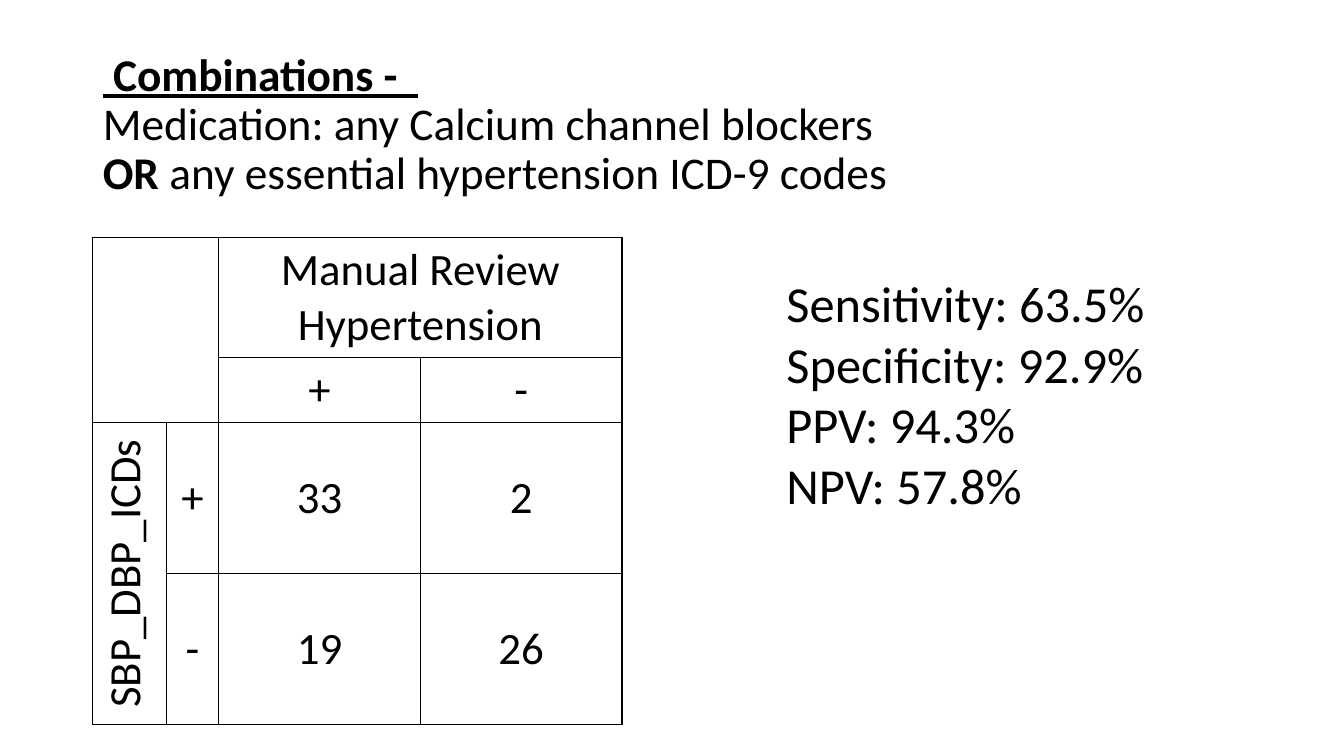
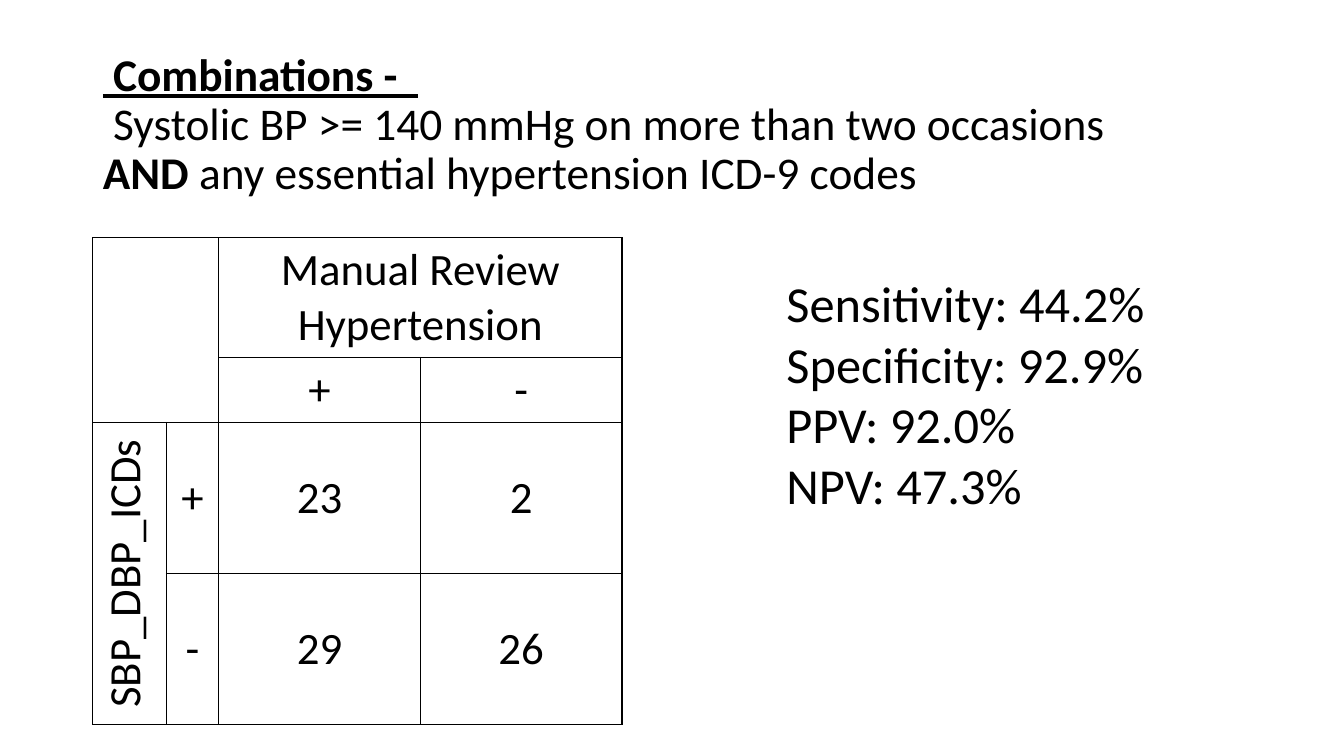
from dataclasses import dataclass

from lxml import etree
from pptx import Presentation
from pptx import util as u
from pptx.dml.color import RGBColor
from pptx.enum import text
from pptx.oxml import ns


@dataclass(frozen=True)
class Theme:
    font: str = "Calibri"
    ink: RGBColor = RGBColor(0, 0, 0)
    title_size: float = 32.4
    table_size: float = 32
    stats_size: float = 36
    border_width: float = 1


@dataclass(frozen=True)
class Box:
    left: float
    top: float
    width: float
    height: float

    def place(self, sp) -> None:
        sp.left, sp.top = u.Inches(self.left), u.Inches(self.top)
        sp.width, sp.height = u.Inches(self.width), u.Inches(self.height)


@dataclass(frozen=True)
class Combination:
    """A pair of criteria, its 2 x 2 counts and its accuracy figures."""
    first: str
    operator: str
    counts: tuple[tuple[int, int], tuple[int, int]]
    sensitivity: str
    specificity: str
    ppv: str
    npv: str


THEME = Theme()
TITLE_BOX = Box(0.92, 0.52, 12.12, 1.45)
STATS_BOX = Box(7.7, 2.65, 3.92, 2.52)
TABLE_LEFT, TABLE_TOP = 0.92, 2.36
COLUMN_WIDTHS = (0.73, 0.52, 2, 2)
ROW_HEIGHTS = (1.18, 0.64, 1.5, 1.5)
SIGNS = ("+", "-")

COMBINATIONS = (
    Combination("Medication: any Calcium channel blockers", "OR",
                ((33, 2), (19, 26)), "63.5%", "92.9%", "94.3%", "57.8%"),
    Combination(" Systolic BP >= 140 mmHg on more than two occasions", "AND",
                ((23, 2), (29, 26)), "44.2%", "92.9%", "92.0%", "47.3%"),
)


def style_run(r, size: float, bold: bool = False, underline: bool = False) -> None:
    r.font.name = THEME.font
    r.font.size = u.Pt(size)
    r.font.color.rgb = THEME.ink
    r.font.bold = bold
    r.font.underline = underline


def add_title(s, combination: Combination) -> None:
    sp = s.shapes.title
    TITLE_BOX.place(sp)
    tf = sp.text_frame
    tf.auto_size = text.MSO_AUTO_SIZE.NONE
    tf.vertical_anchor = text.MSO_ANCHOR.MIDDLE
    p = tf.paragraphs[0]
    p.alignment = text.PP_ALIGN.LEFT
    p.line_spacing = 0.9
    lines = (
        ((" Combinations -  ", True, True),),
        ((combination.first, False, False),),
        ((combination.operator, True, False),
         (" any essential hypertension ICD-9 codes", False, False)),
    )
    for i, line in enumerate(lines):
        if i:
            p.add_line_break()
        for words, bold, underline in line:
            r = p.add_run()
            r.text = words
            style_run(r, THEME.title_size, bold, underline)


def add_stats(s, combination: Combination) -> None:
    sp = s.placeholders[1]
    STATS_BOX.place(sp)
    tf = sp.text_frame
    tf.text = "\n".join((
        f"Sensitivity: {combination.sensitivity}",
        f"Specificity: {combination.specificity}",
        f"PPV: {combination.ppv}",
        f"NPV: {combination.npv}",
    ))
    tf.auto_size = text.MSO_AUTO_SIZE.NONE
    tf.word_wrap = False
    tf.vertical_anchor = text.MSO_ANCHOR.TOP
    for p in tf.paragraphs:
        p_pr = p._p.get_or_add_pPr()
        p_pr.set("marL", "0")
        p_pr.set("indent", "0")
        etree.SubElement(p_pr, ns.qn("a:buNone"))
        p.space_before = u.Pt(0)
        style_run(p.runs[0], THEME.stats_size)


def draw_borders(cell) -> None:
    tc_pr = cell._tc.get_or_add_tcPr()
    for side in ("lnL", "lnR", "lnT", "lnB"):
        ln = etree.SubElement(tc_pr, ns.qn(f"a:{side}"),
                              w=str(u.Pt(THEME.border_width)))
        fill = etree.SubElement(ln, ns.qn("a:solidFill"))
        etree.SubElement(fill, ns.qn("a:srgbClr"), val=str(THEME.ink))


def fill_cell(cell, words: str) -> None:
    cell.text_frame.text = words
    cell.vertical_anchor = text.MSO_ANCHOR.MIDDLE
    p = cell.text_frame.paragraphs[0]
    p.alignment = text.PP_ALIGN.CENTER
    style_run(p.runs[0], THEME.table_size)


def add_table(s, combination: Combination) -> None:
    table = s.shapes.add_table(
        len(ROW_HEIGHTS), len(COLUMN_WIDTHS),
        u.Inches(TABLE_LEFT), u.Inches(TABLE_TOP),
        u.Inches(sum(COLUMN_WIDTHS)), u.Inches(sum(ROW_HEIGHTS))).table
    table.first_row = table.horz_banding = False
    for column, width in zip(table.columns, COLUMN_WIDTHS):
        column.width = u.Inches(width)
    for row, height in zip(table.rows, ROW_HEIGHTS):
        row.height = u.Inches(height)
    for cell in table.iter_cells():
        draw_borders(cell)
        cell.fill.background()

    table.cell(0, 0).merge(table.cell(1, 1))
    review, method = table.cell(0, 2), table.cell(2, 0)
    review.merge(table.cell(0, 3))
    method.merge(table.cell(3, 0))
    fill_cell(review, "Manual Review Hypertension")
    review.vertical_anchor = text.MSO_ANCHOR.TOP
    fill_cell(method, "SBP_DBP_ICDs")
    method._tc.get_or_add_tcPr().set("vert", "vert270")
    for i, sign in enumerate(SIGNS, start=2):
        fill_cell(table.cell(1, i), sign)
        fill_cell(table.cell(i, 1), sign)
    for i, counts in enumerate(combination.counts, start=2):
        for j, count in enumerate(counts, start=2):
            fill_cell(table.cell(i, j), str(count))


def main() -> None:
    prs = Presentation()
    prs.slide_width, prs.slide_height = u.Inches(13.33), u.Inches(7.5)
    for combination in COMBINATIONS:
        s = prs.slides.add_slide(prs.slide_layouts[1])
        add_title(s, combination)
        add_table(s, combination)
        add_stats(s, combination)
    prs.save("out.pptx")


if __name__ == "__main__":
    main()
